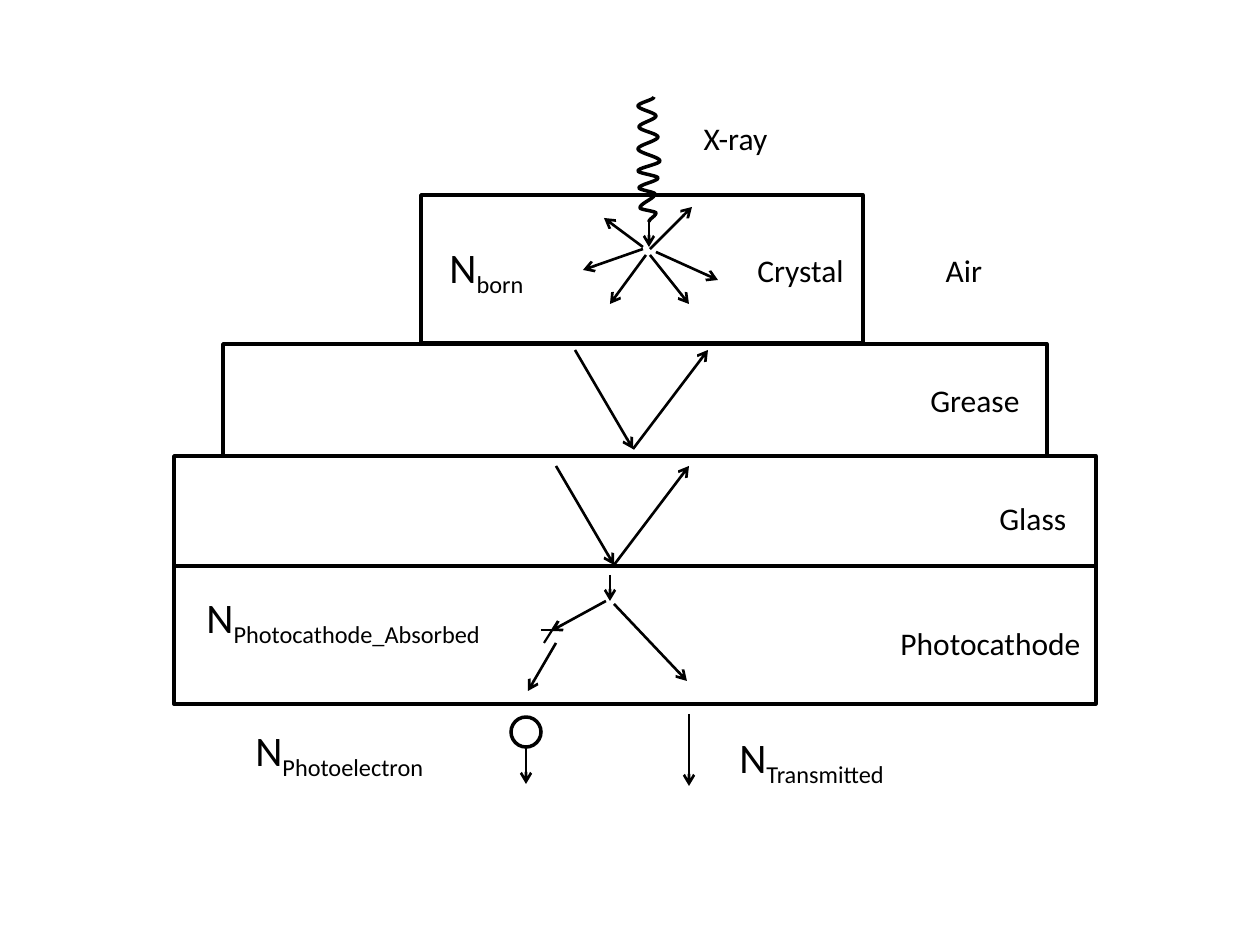
from dataclasses import dataclass

from lxml import etree
from pptx import Presentation
from pptx import util as u
from pptx.dml import color
from pptx.enum import shapes, text
from pptx.oxml import ns

PX = u.Inches(1) // 126


@dataclass(frozen=True)
class Theme:
    ink: color.RGBColor = color.RGBColor(0, 0, 0)
    font: str = "Calibri"
    label: int = 18
    symbol: int = 24
    outline: float = 2
    ray: float = 1.5
    mark: float = 1.25


THEME = Theme()


def emu(*values):
    return [round(v * PX) for v in values]


def set_line(sp, width):
    sp.line.color.rgb = THEME.ink
    sp.line.width = u.Pt(width)


def add_outline(parent, kind, box):
    sp = parent.add_shape(kind, *emu(*box))
    sp.shadow.inherit = False
    sp.fill.background()
    set_line(sp, THEME.outline)


def add_line(parent, points, width=THEME.ray, arrow=True):
    cx = parent.add_connector(shapes.MSO_CONNECTOR.STRAIGHT, *emu(*points))
    set_line(cx, width)
    if arrow:
        ln = cx.line._get_or_add_ln()
        etree.SubElement(ln, ns.qn("a:tailEnd"), type="arrow")
    etree.SubElement(cx._element.spPr, ns.qn("a:effectLst"))


def add_wave(parent, turns, steps=10):
    points = [turns[0]]
    for (x0, y0), (x1, y1) in zip(turns, turns[1:]):
        for i in range(1, steps + 1):
            t = i / steps
            ease = t * t * (3 - 2 * t)
            points.append((x0 + (x1 - x0) * ease, y0 + (y1 - y0) * t))
    points = [tuple(emu(*point)) for point in points]
    builder = parent.build_freeform(*points[0])
    builder.add_line_segments(points[1:], close=False)
    sp = builder.convert_to_shape()
    sp.shadow.inherit = False
    sp.fill.background()
    set_line(sp, THEME.outline)


def add_text(parent, box, words, size=THEME.label, sub="",
             align=text.PP_ALIGN.LEFT, wrap=True):
    tf = parent.add_textbox(*emu(*box)).text_frame
    tf.word_wrap = wrap
    tf.auto_size = text.MSO_AUTO_SIZE.SHAPE_TO_FIT_TEXT
    p = tf.paragraphs[0]
    p.alignment = align
    for part in filter(None, (words, sub)):
        r = p.add_run()
        r.text = part
        r.font.size = u.Pt(size)
        r.font.name = THEME.font
        r.font.color.rgb = THEME.ink
        if part == sub:
            r._r.get_or_add_rPr().set("baseline", "-25000")


def add_layers(parent):
    for box in (
        (174, 456, 922, 110),
        (174, 566, 922, 138),
        (223, 344, 824, 112),
        (421, 195, 442, 148),
    ):
        add_outline(parent, shapes.MSO_SHAPE.RECTANGLE, box)


def add_labels(parent):
    center = text.PP_ALIGN.CENTER
    for words, box, style in (
        ("X-ray", (678, 113, 115, 50), {"align": center}),
        ("Crystal", (743, 245, 115, 50), {"align": center}),
        ("Air", (927, 245, 74, 50), {"align": center}),
        ("Grease", (918, 375, 128, 50), {}),
        ("Glass", (987, 493, 110, 50), {}),
        ("Photocathode", (888, 618, 208, 50), {"wrap": False}),
    ):
        add_text(parent, box, words, **style)
    for sub, box, wrap in (
        ("born", (437, 235, 120, 64), True),
        ("Photocathode_Absorbed", (194, 585, 348, 64), True),
        ("Photoelectron", (243, 718, 243, 64), True),
        ("Transmitted", (727, 725, 189, 64), False),
    ):
        add_text(parent, box, "N", size=THEME.symbol, sub=sub, wrap=wrap)


def add_xray(parent):
    group = parent.add_group_shape().shapes
    add_wave(group, [
        (654, 97), (638, 106), (656, 116), (639, 127), (658, 137),
        (638, 149), (660, 161), (638, 171), (658, 178), (639, 188),
        (655, 194), (640, 208), (656, 213), (649, 222),
    ])
    add_line(group, (649, 222, 649, 247))


def add_rays(parent):
    scattered = [
        (650, 255, 689, 304), (646, 255, 610, 304), (643, 247, 604, 218),
        (650, 249, 692, 207), (643, 249, 583, 270), (656, 252, 718, 280),
    ]
    reflected = [
        ray
        for x, y in ((575, 350), (556, 466))
        for ray in ((x, y, x + 58, y + 99), (x + 58, y + 99, x + 133, y))
    ]
    transmitted = [
        (610, 575, 610, 601), (614, 604, 687, 681),
        (556, 643, 528, 691), (689, 714, 689, 786),
    ]
    for ray in scattered + reflected + transmitted:
        add_line(parent, ray)


def add_absorption(parent):
    group = parent.add_group_shape().shapes
    add_line(group, (606, 601, 551, 631))
    for mark in ((541, 630, 558, 630), (544, 643, 558, 621)):
        add_line(group, mark, width=THEME.mark, arrow=False)


def add_photoelectron(parent):
    group = parent.add_group_shape().shapes
    add_outline(group, shapes.MSO_SHAPE.OVAL, (511, 717, 30, 30))
    add_line(group, (526, 747, 526, 784))


def main():
    prs = Presentation()
    prs.slide_width, prs.slide_height = emu(1260, 945)
    s = prs.slides.add_slide(prs.slide_layouts[6])
    for add_part in (add_layers, add_labels, add_xray, add_rays,
                     add_absorption, add_photoelectron):
        add_part(s.shapes)
    prs.save("out.pptx")


main()
